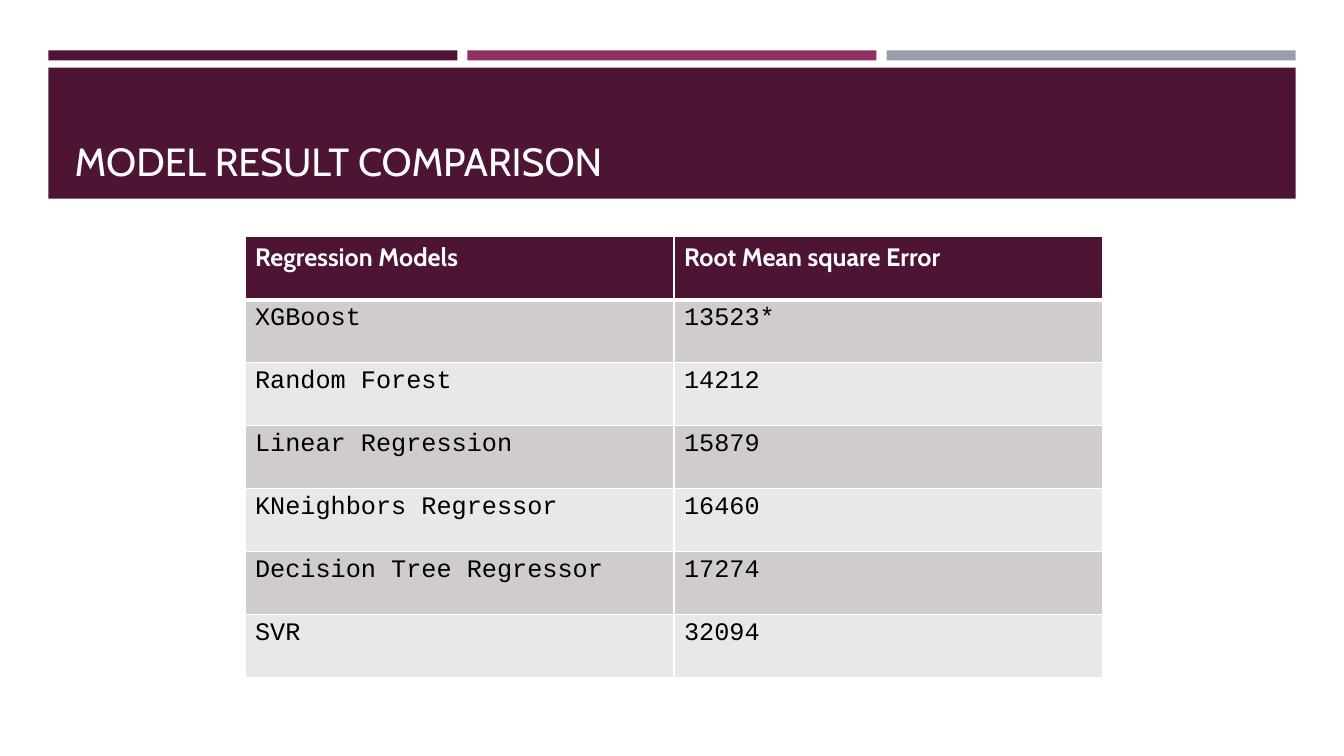
from lxml import etree
from pptx import Presentation
from pptx.dml.color import RGBColor
from pptx.enum import shapes, text
from pptx.oxml import ns
from pptx.util import Inches, Pt

PLUM, MAGENTA, GREY, WHITE, BLACK = "4D1434", "903163", "969FA7", "FFFFFF", "000000"
BANDS = ("D0CCCE", "E9E7E8")
RESULTS = [
    ("Regression Models", "Root Mean square Error"),
    ("XGBoost", "13523*"),
    ("Random Forest", "14212"),
    ("Linear Regression", "15879"),
    ("KNeighbors Regressor", "16460"),
    ("Decision Tree Regressor", "17274"),
    ("SVR", "32094"),
]


def color(value):
    return RGBColor.from_string(value)


def paint(target, value):
    target.fill.solid()
    target.fill.fore_color.rgb = color(value)


def style_text(frame, font_name, size, value, bold=False):
    for run in frame.paragraphs[0].runs:
        run.font.name = font_name
        run.font.size = Pt(size)
        run.font.color.rgb = color(value)
        run.font.bold = bold


def add_bar(slide, left, top, width, height, fill):
    bar = slide.shapes.add_shape(
        shapes.MSO_SHAPE.RECTANGLE, Inches(left), Inches(top), Inches(width), Inches(height))
    bar.shadow.inherit = False
    paint(bar, fill)
    bar.line.fill.background()


def add_header(slide, left, top, width, title_text):
    """Place three accent bars above a banner that carries the title."""
    gap = 0.1
    bar_width = (width - 2 * gap) / 3
    for index, fill in enumerate((PLUM, MAGENTA, GREY)):
        add_bar(slide, left + index * (bar_width + gap), top, bar_width, 0.1, fill)
    add_bar(slide, left, top + 0.17, width, 1.3, PLUM)

    title = slide.shapes.title
    slide.shapes._spTree.append(title._element)  # bring the title above the banner
    title.left, title.top = Inches(left + 0.16), Inches(top + 0.27)
    title.width, title.height = Inches(width - 0.31), Inches(1.11)
    frame = title.text_frame
    frame.text = title_text
    frame.word_wrap = True
    frame.auto_size = text.MSO_AUTO_SIZE.NONE
    frame.vertical_anchor = text.MSO_ANCHOR.BOTTOM
    frame.paragraphs[0].alignment = text.PP_ALIGN.LEFT
    style_text(frame, "Cabin", 28, WHITE)


def set_borders(cell, top, bottom):
    """Draw white borders; call before filling so the XML order stays valid."""
    properties = cell._tc.get_or_add_tcPr()
    for side, points in (("L", 1), ("R", 1), ("T", top), ("B", bottom)):
        line = etree.SubElement(properties, ns.qn(f"a:ln{side}"), w=str(Pt(points)))
        fill = etree.SubElement(line, ns.qn("a:solidFill"))
        etree.SubElement(fill, ns.qn("a:srgbClr"), val=WHITE)


def add_results_table(slide, left, top, width, height):
    table = slide.shapes.add_table(
        len(RESULTS), len(RESULTS[0]),
        Inches(left), Inches(top), Inches(width), Inches(height)).table
    for row_index, values in enumerate(RESULTS):
        is_header = row_index == 0
        for column_index, value in enumerate(values):
            cell = table.cell(row_index, column_index)
            set_borders(cell, 3 if row_index == 1 else 1, 3 if is_header else 1)
            paint(cell, PLUM if is_header else BANDS[(row_index - 1) % 2])
            cell.text_frame.text = value
            if is_header:
                style_text(cell.text_frame, "Cabin", 18, WHITE, bold=True)
            else:
                style_text(cell.text_frame, "Courier New", 18, BLACK)


def main():
    presentation = Presentation()
    presentation.slide_width, presentation.slide_height = Inches(13.33), Inches(7.5)
    slide = presentation.slides.add_slide(presentation.slide_layouts.get_by_name("Title Only"))
    paint(slide.background, WHITE)
    add_header(slide, 0.48, 0.5, 12.37, "MODEL RESULT COMPARISON")
    add_results_table(slide, 2.43, 2.35, 8.51, 4.37)
    presentation.save("out.pptx")


if __name__ == "__main__":
    main()
